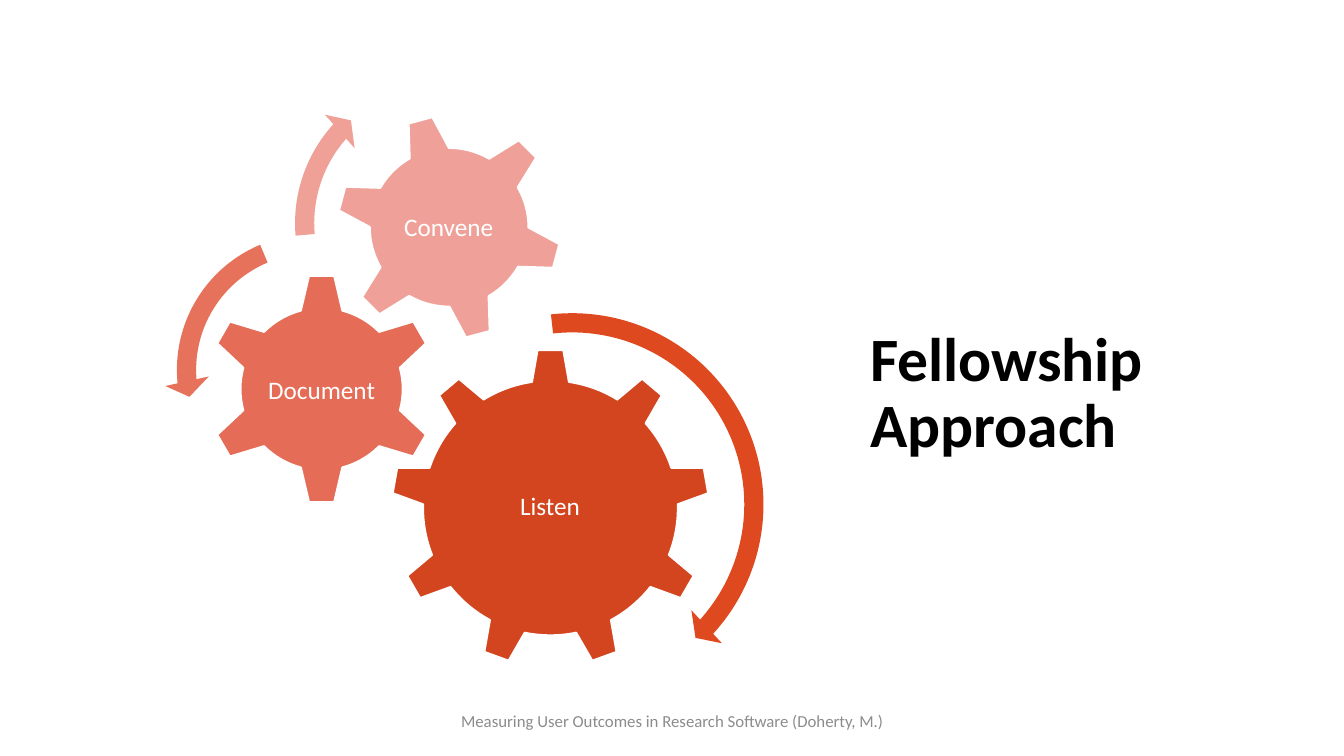
from pptx import Presentation
from pptx.dml.color import RGBColor
from pptx.enum.shapes import MSO_SHAPE
from pptx.enum.text import MSO_ANCHOR, MSO_AUTO_SIZE, PP_ALIGN
from pptx.util import Inches, Pt

COLORS = {
    "title": "000000",
    "footer": "8C8C8C",
    "white": "FFFFFF",
    "listen": "D3451F",
    "document": "E56D57",
    "convene": "EFA199",
    "listen arrow": "DE4920",
    "document arrow": "E6725C",
    "convene arrow": "EFA198",
}


def add_filled(kind, left, top, size, color):
    shape = slide.shapes.add_shape(
        kind, Inches(left), Inches(top), Inches(size), Inches(size))
    shape.shadow.inherit = False
    shape.fill.solid()
    shape.fill.fore_color.rgb = RGBColor.from_string(COLORS[color])
    return shape


def add_label(text, left, top, width, height, size, color, inset):
    box = slide.shapes.add_textbox(
        Inches(left), Inches(top), Inches(width), Inches(height))
    frame = box.text_frame
    frame.word_wrap = True
    frame.vertical_anchor = MSO_ANCHOR.MIDDLE
    frame.margin_left = frame.margin_right = Inches(inset)
    frame.margin_top = frame.margin_bottom = Inches(0.03)
    frame.text = text
    line = frame.paragraphs[0]
    line.alignment = PP_ALIGN.CENTER
    line.font.name = "Calibri"
    line.font.size = Pt(size)
    line.font.color.rgb = RGBColor.from_string(COLORS[color])


prs = Presentation()
prs.slide_width = Inches(13.33)
prs.slide_height = Inches(7.5)
slide = prs.slides.add_slide(prs.slide_layouts[5])

# Title
title = slide.shapes.title
title.left, title.top = Inches(8.53), Inches(2.57)
title.width, title.height = Inches(3.83), Inches(2.69)
title_frame = title.text_frame
title_frame.text = "Fellowship Approach"
title_frame.word_wrap = True
title_frame.auto_size = MSO_AUTO_SIZE.NONE
title_frame.vertical_anchor = MSO_ANCHOR.MIDDLE
heading = title_frame.paragraphs[0]
heading.alignment = PP_ALIGN.LEFT
heading.line_spacing = 0.9
heading.font.name = "Calibri"
heading.font.size = Pt(44)
heading.font.bold = True
heading.font.color.rgb = RGBColor.from_string(COLORS["title"])

# Footer
add_label("Measuring User Outcomes in Research Software (Doherty, M.)",
          4.42, 6.95, 4.5, 0.4, 12, "footer", 0.1)

# Gears: name, preset, left, top, size, rotation, label box
gears = [
    ("Listen", MSO_SHAPE.GEAR_9, 3.88, 3.46, 3.16, 0, (4.51, 4.2, 1.89, 1.63)),
    ("Document", MSO_SHAPE.GEAR_6, 2.04, 2.71, 2.3, 0, (2.62, 3.3, 1.14, 1.13)),
    ("Convene", MSO_SHAPE.GEAR_6, 3.33, 1.13, 2.25, 345, (3.82, 1.62, 1.26, 1.26)),
]
for name, kind, left, top, size, rotation, label_box in gears:
    gear = add_filled(kind, left, top, size, name.lower())
    gear.rotation = rotation
    gear.line.color.rgb = RGBColor.from_string(COLORS["white"])
    gear.line.width = Pt(1.5)
    add_label(name, *label_box, 18, "white", 0.03)

# Arrows: thickness and head width in percent of the size, angles in degrees
arrows = [
    ("listen arrow", MSO_SHAPE.CIRCULAR_ARROW, 3.65, 2.98, 4.05,
     4.7, (4.98, 42.28, 263.63), 5.5),
    ("document arrow", MSO_SHAPE.LEFT_CIRCULAR_ARROW, 1.63, 2.2, 2.94,
     6.5, (7.17, 174.82, 247.3), 7.5),
    ("convene arrow", MSO_SHAPE.CIRCULAR_ARROW, 2.8, 0.63, 3.17,
     6, (6.57, 221.9, 175.14), 7),
]
for color, kind, left, top, size, thickness, angles, head in arrows:
    arrow = add_filled(kind, left, top, size, color)
    arrow.line.fill.background()
    # An adjustment of 1.0 is 100000 units, and a degree is 60000 units
    settings = [thickness / 100, *(angle * 0.6 for angle in angles), head / 100]
    for index, setting in enumerate(settings):
        arrow.adjustments[index] = setting

prs.save("out.pptx")
